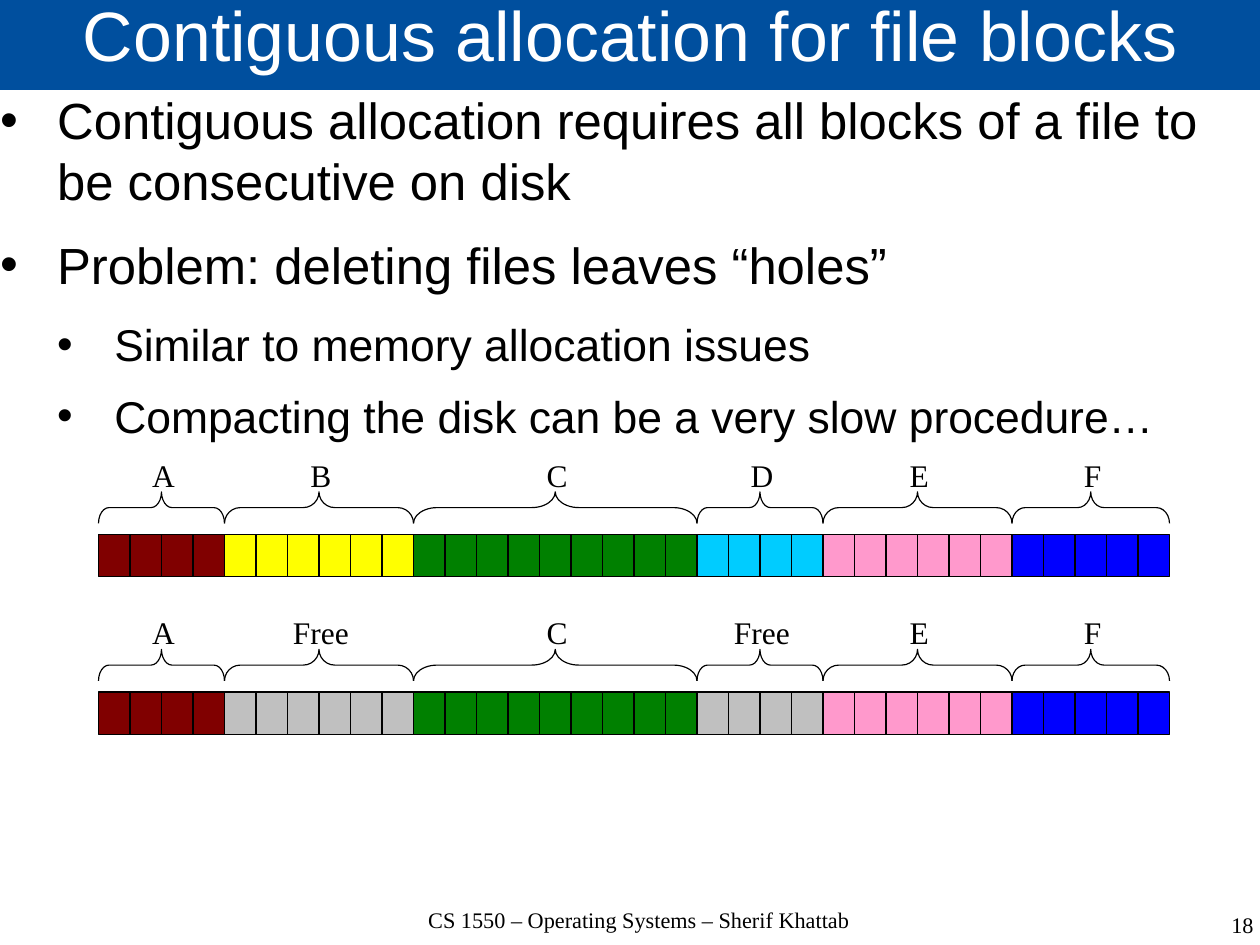
from dataclasses import dataclass

from lxml import etree
from pptx import Presentation
from pptx.dml.color import RGBColor
from pptx.enum.shapes import MSO_SHAPE
from pptx.enum.text import MSO_ANCHOR, MSO_AUTO_SIZE, PP_ALIGN
from pptx.oxml.ns import qn
from pptx.util import Cm, Pt

RECT, BRACE = MSO_SHAPE.RECTANGLE, MSO_SHAPE.RIGHT_BRACE
CENTER, LEFT, RIGHT = PP_ALIGN.CENTER, PP_ALIGN.LEFT, PP_ALIGN.RIGHT
TOP, MIDDLE = MSO_ANCHOR.TOP, MSO_ANCHOR.MIDDLE
NO_FIT, GROW = MSO_AUTO_SIZE.NONE, MSO_AUTO_SIZE.SHAPE_TO_FIT_TEXT


@dataclass(frozen=True)
class Theme:
    sans: str = "Arial"
    serif: str = "Times New Roman"
    bar: str = "004F9E"
    ink: str = "000000"
    paper: str = "FFFFFF"
    maroon: str = "800000"
    yellow: str = "FFFF00"
    green: str = "008000"
    cyan: str = "00CCFF"
    pink: str = "FF99CC"
    blue: str = "0000FF"
    free: str = "C0C0C0"
    title: float = 44
    levels: tuple = (32, 28)
    space_after: tuple = (14.2, 11.4)
    label: float = 19.8
    footer: float = 14
    line: float = 0.75


class SlideBuilder:
    cell_w, cell_h = 0.7, 0.94
    brace_h = 0.7

    def __init__(self, prs, theme):
        self.t = theme
        self.s = prs.slides.add_slide(prs.slide_layouts[1])

    def place(self, sp, x, y, w, h):
        sp.left, sp.top, sp.width, sp.height = Cm(x), Cm(y), Cm(w), Cm(h)

    def frame(self, sp, anchor=TOP):
        tf = sp.text_frame
        tf.margin_left = tf.margin_right = tf.margin_top = tf.margin_bottom = 0
        tf.word_wrap, tf.auto_size, tf.vertical_anchor = True, NO_FIT, anchor
        return tf

    def run(self, p, text, font, size, color, align):
        p.alignment = align
        r = p.add_run()
        r.text = text
        r.font.name, r.font.size = font, Pt(size)
        r.font.color.rgb = RGBColor.from_string(color)

    def title(self, text):
        sp = self.s.shapes.title
        self.place(sp, 0, -0.05, 28.04, 2.05)
        sp.fill.solid()
        sp.fill.fore_color.rgb = RGBColor.from_string(self.t.bar)
        p = self.frame(sp, MIDDLE).paragraphs[0]
        p.line_spacing = 0.69
        self.run(p, text, self.t.sans, self.t.title, self.t.paper, CENTER)

    def bullets(self, items):
        sp = self.s.placeholders[1]
        self.place(sp, 0, 1.98, 28.04, 18.24)
        tf = self.frame(sp)
        for i, (level, text) in enumerate(items):
            p = tf.add_paragraph() if i else tf.paragraphs[0]
            p.level = level
            p.space_before = Pt(0)
            p.space_after = Pt(self.t.space_after[level])
            self.run(p, text, self.t.sans, self.t.levels[level], self.t.ink, LEFT)
            pPr = p._p.get_or_add_pPr()
            pPr.set("marL", str(Cm(1.27 * (level + 1))))
            pPr.set("indent", str(Cm(-1.27)))
            color = etree.SubElement(pPr, qn("a:buClr"))
            etree.SubElement(color, qn("a:srgbClr"), val=self.t.ink)
            etree.SubElement(pPr, qn("a:buFont"), typeface=self.t.sans)
            etree.SubElement(pPr, qn("a:buChar"), char="•")

    def footer(self, text, x, y, w, align):
        sp = self.s.shapes.add_textbox(Cm(x), Cm(y), Cm(w), Cm(0.7))
        p = self.frame(sp).paragraphs[0]
        p.line_spacing = 0.96
        self.run(p, text, self.t.serif, self.t.footer, self.t.ink, align)

    def shape(self, kind, x, y, w, h, fill=None):
        sp = self.s.shapes.add_shape(kind, Cm(x), Cm(y), Cm(w), Cm(h))
        sp.shadow.inherit = False
        if fill:
            sp.fill.solid()
            sp.fill.fore_color.rgb = RGBColor.from_string(fill)
        else:
            sp.fill.background()
        sp.line.color.rgb = RGBColor.from_string(self.t.ink)
        sp.line.width = Pt(self.t.line)
        return sp

    def brace(self, mid, y, blocks):
        length = blocks * self.cell_w
        sp = self.shape(BRACE, mid - self.brace_h / 2, y - length / 2,
                        self.brace_h, length)
        sp.rotation = 270
        sp.adjustments[0] = blocks / 12

    def label(self, text, mid, y):
        w = 0.75 + 0.25 * len(text)
        sp = self.s.shapes.add_textbox(Cm(mid - w / 2), Cm(y), Cm(w), Cm(1.09))
        tf = sp.text_frame
        tf.word_wrap, tf.auto_size = False, GROW
        self.run(tf.paragraphs[0], text, self.t.serif, self.t.label,
                 self.t.ink, CENTER)

    def disk(self, files, x, y):
        for name, blocks, color in files:
            for i in range(blocks):
                self.shape(RECT, x + i * self.cell_w, y,
                           self.cell_w, self.cell_h, color)
            mid = x + blocks * self.cell_w / 2
            self.brace(mid, y - 0.6, blocks)
            self.label(name, mid + 0.04, y - 1.87)
            x += blocks * self.cell_w


def main():
    prs = Presentation()
    prs.slide_width, prs.slide_height = Cm(28), Cm(21)
    t = Theme()
    b = SlideBuilder(prs, t)
    b.title("Contiguous allocation for file blocks")
    b.bullets([
        (0, "Contiguous allocation requires all blocks of a file to be consecutive on disk"),
        (0, "Problem: deleting files leaves “holes”"),
        (1, "Similar to memory allocation issues"),
        (1, "Compacting the disk can be a very slow procedure…"),
    ])
    b.footer("CS 1550 – Operating Systems – Sherif Khattab", 7.8, 20.17, 12.8, CENTER)
    b.footer("18", 21.44, 20.3, 6.42, RIGHT)

    files = [("A", 4, t.maroon), ("B", 6, t.yellow), ("C", 9, t.green),
             ("D", 4, t.cyan), ("E", 6, t.pink), ("F", 5, t.blue)]
    deleted = {"B", "D"}
    after = [("Free", n, t.free) if name in deleted else (name, n, color)
             for name, n, color in files]
    for row, state in enumerate((files, after)):
        b.disk(state, 2.19, 11.88 + 3.5 * row)
    prs.save("out.pptx")


if __name__ == "__main__":
    main()
